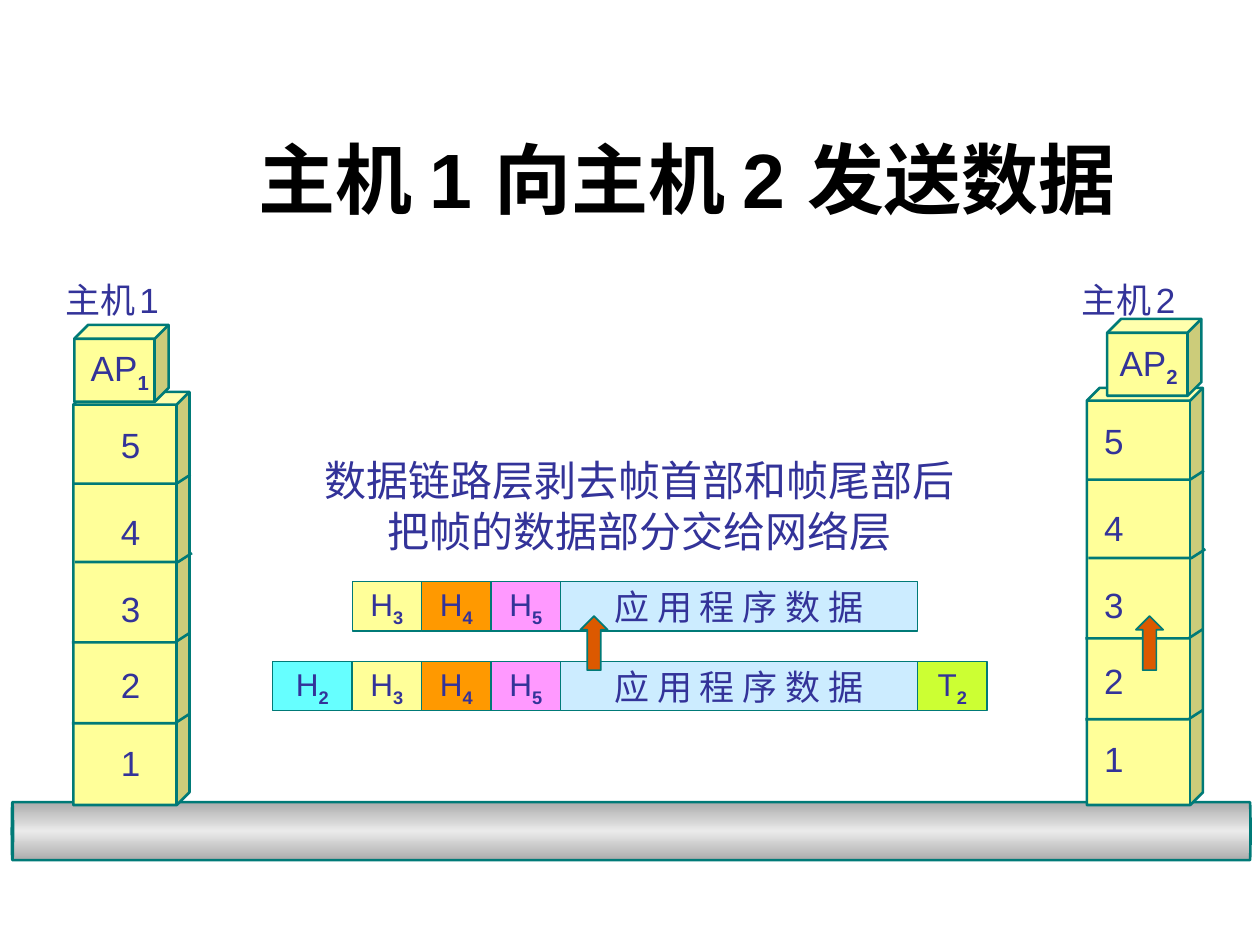
from copy import deepcopy
from dataclasses import dataclass

from pptx import Presentation
from pptx.dml.color import RGBColor
from pptx.enum.shapes import MSO_SHAPE as Shape
from pptx.enum.text import MSO_ANCHOR as Anchor, PP_ALIGN as Align
from pptx.util import Cm, Pt


@dataclass(frozen=True)
class Theme:
    ink: str = "333399"
    title_ink: str = "000000"
    edge: str = "007A77"
    block: str = "FFFF99"
    header_4: str = "FF9900"
    header_5: str = "FF99FF"
    data: str = "CCECFF"
    header_2: str = "66FFFF"
    trailer: str = "CCFF33"
    arrow: str = "DC5900"
    cable_dark: str = "ACACAC"
    cable_light: str = "EAEAEA"
    font: str = "Arial"
    data_font: str = "Roboto"
    title_size: int = 44
    note_size: int = 24
    body_size: int = 20
    cell_size: int = 18
    gap_size: int = 10


THEME = Theme()
CELL_WIDTH, DATA_WIDTH, CELL_HEIGHT = 1.4, 7.2, 0.99
HEADERS = [("3", THEME.block), ("4", THEME.header_4), ("5", THEME.header_5)]
# Offsets from the top left corner of a tower
DIGIT_TOPS = [0.51, 2.26, 3.81, 5.36, 6.93]
SEAMS = [(0, 1.85), (0.03, 3.43), (-0.03, 5.05), (-0.03, 6.68)]


def rgb(code):
    return RGBColor.from_string(code)


def add_span(para, text, size=THEME.body_size, color=THEME.ink,
             font=THEME.font, bold=False, subscript=False):
    span = para.add_run()
    span.text = text
    span.font.size = Pt(size)
    span.font.name = font
    span.font.bold = bold
    span.font.color.rgb = rgb(color)
    if subscript:
        span._r.get_or_add_rPr().set("baseline", "-25000")


def add_symbol(para, letter, index, size):
    add_span(para, letter, size)
    add_span(para, index, size, bold=True, subscript=True)


def add_text(page, box, align=Align.LEFT, anchor=Anchor.TOP, wrap=False):
    frame = page.shapes.add_textbox(*map(Cm, box)).text_frame
    frame.word_wrap = wrap
    frame.vertical_anchor = anchor
    frame.paragraphs[0].alignment = align
    return frame


def set_edge(shape, width):
    shape.shadow.inherit = False
    shape.line.color.rgb = rgb(THEME.edge)
    shape.line.width = Pt(width)


def add_solid(page, kind, box, fill, edge=1.5):
    shape = page.shapes.add_shape(kind, *map(Cm, box))
    shape.fill.solid()
    shape.fill.fore_color.rgb = rgb(fill)
    set_edge(shape, edge)
    return shape


def add_title(page, box):
    para = add_text(page, box, Align.CENTER, Anchor.BOTTOM, True).paragraphs[0]
    add_span(para, "主机 1 向主机 2 发送数据 ", THEME.title_size,
             THEME.title_ink, bold=True)


def add_note(page, box):
    frame = add_text(page, box, Align.CENTER, wrap=True)
    add_span(frame.paragraphs[0], "数据链路层剥去帧首部和帧尾部后", THEME.note_size)
    para = frame.add_paragraph()
    para.alignment = Align.CENTER
    add_span(para, "把帧的数据部分交给网络层", THEME.note_size)


def add_cable(page, box):
    # The can stands upright, so its box is turned about its centre
    left, top, width, height = box
    upright = (left + (width - height) / 2, top + (height - width) / 2,
               height, width)
    cable = page.shapes.add_shape(Shape.CAN, *map(Cm, upright))
    cable.rotation = 270
    cable.adjustments[0] = 0.02
    set_edge(cable, 1.5)
    cable.fill.gradient()
    cable.fill.gradient_angle = 0
    first = cable.fill.gradient_stops[0]._gs
    first.addnext(deepcopy(first))
    colors = [THEME.cable_dark, THEME.cable_light, THEME.cable_dark]
    for stop, color, position in zip(cable.fill.gradient_stops, colors, (0, 0.5, 1)):
        stop.color.rgb = rgb(color)
        stop.position = position


def add_seam(page, left, top):
    builder = page.shapes.build_freeform(Cm(left), Cm(top))
    builder.add_line_segments([(Cm(left + 2.08), Cm(top)),
                               (Cm(left + 2.36), Cm(top - 0.18))], close=False)
    seam = builder.convert_to_shape()
    seam.fill.background()
    set_edge(seam, 1.5)


def add_host(page, box, number, digit_shift, label_left, process, process_shift):
    left, top, _, _ = box
    # Five-layer tower
    tower = add_solid(page, Shape.CUBE, box, THEME.block)
    tower.adjustments[0] = 0.11
    for layer, offset in zip("54321", DIGIT_TOPS):
        place = (left + digit_shift, top + offset, 0.89, 1.12)
        add_span(add_text(page, place).paragraphs[0], layer)
    for shift, offset in SEAMS:
        add_seam(page, left + shift, top + offset)
    # Host name, in a box wide enough for one line
    para = add_text(page, (label_left, 5.49, 2.8, 1.12)).paragraphs[0]
    add_span(para, "主机")
    add_span(para, " ", THEME.gap_size)
    add_span(para, number)
    # Application process on top
    cube = add_solid(page, Shape.CUBE, (*process, 1.9, 1.55), THEME.block)
    cube.adjustments[0] = 0.18
    place = (process[0] + process_shift, process[1] + 0.32, 1.68, 1.22)
    add_symbol(add_text(page, place).paragraphs[0], "AP", number, THEME.body_size)


def add_cell(page, left, top, width, fill):
    cell = add_solid(page, Shape.RECTANGLE, (left, top, width, CELL_HEIGHT), fill, 0.75)
    frame = cell.text_frame
    frame.word_wrap = False
    frame.vertical_anchor = Anchor.MIDDLE
    frame.paragraphs[0].alignment = Align.CENTER
    return frame.paragraphs[0]


def add_packet(page, left, top):
    for column, (index, fill) in enumerate(HEADERS):
        para = add_cell(page, left + column * CELL_WIDTH, top, CELL_WIDTH, fill)
        add_symbol(para, "H", index, THEME.cell_size)
    data_left = left + len(HEADERS) * CELL_WIDTH
    para = add_cell(page, data_left, top, DATA_WIDTH, THEME.data)
    add_span(para, "应 用 程 序 数 据", font=THEME.data_font)
    return data_left + DATA_WIDTH


def add_frame(page, left, top):
    head_width = 1.61
    para = add_cell(page, left, top, head_width, THEME.header_2)
    add_symbol(para, "H", "2", THEME.cell_size)
    end = add_packet(page, left + head_width, top)
    para = add_cell(page, end, top, CELL_WIDTH, THEME.trailer)
    add_symbol(para, "T", "2", THEME.cell_size)


def main():
    deck = Presentation()
    deck.slide_width, deck.slide_height = Cm(25.4), Cm(19.05)
    page = deck.slides.add_slide(deck.slide_layouts[6])

    add_title(page, (3.2, 0.58, 21.64, 4.06))
    add_cable(page, (0.24, 16.17, 24.97, 1.17))
    add_host(page, (1.48, 7.9, 2.34, 8.33), "1", 0.71, 1.07, (1.5, 6.55), 0.08)
    add_host(page, (21.91, 7.82, 2.34, 8.41), "2", 0.1, 21.56, (22.32, 6.43), 0)
    add_note(page, (6.28, 9.04, 13.21, 2.29))

    # Network-layer packet above the link-layer frame
    add_packet(page, 7.1, 11.73)
    add_frame(page, 5.49, 13.34)
    for left in (11.7, 22.9):
        add_solid(page, Shape.UP_ARROW, (left, 12.42, 0.55, 1.09), THEME.arrow, 1)

    deck.save("out.pptx")


if __name__ == "__main__":
    main()
